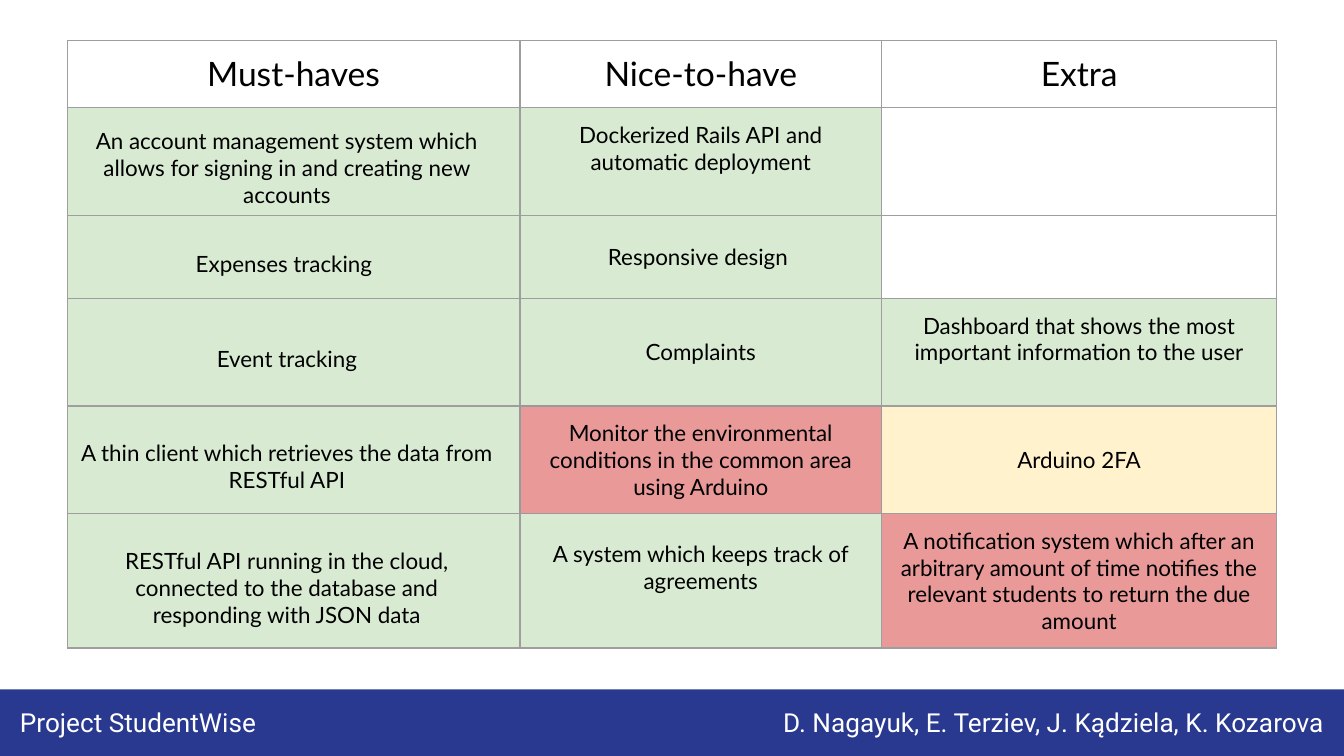
from lxml import etree
from pptx import Presentation
from pptx.dml.color import RGBColor
from pptx.enum import shapes, text
from pptx.oxml import ns
from pptx.util import Inches, Pt

COLORS = {"black": "000000", "white": "FFFFFF", "footer": "2A3990",
          "done": "D9EAD3", "dropped": "EA9999", "partial": "FFF2CC",
          "border": "9E9E9E", "border_dropped": "999999"}


def write(frame, words, font, size, color, align):
    paragraph = frame.paragraphs[0]
    paragraph.alignment = align
    run = paragraph.add_run()
    run.text = words
    for name, value in {"name": font, "size": Pt(size)}.items():
        setattr(run.font, name, value)
    run.font.color.rgb = RGBColor.from_string(COLORS[color])


def add_border(cell, side, color):
    tag = ns.qn("a:ln" + side)
    line = etree.SubElement(cell._tc.get_or_add_tcPr(), tag, w=str(Pt(0.75)))
    fill = etree.SubElement(line, ns.qn("a:solidFill"))
    etree.SubElement(fill, ns.qn("a:srgbClr"), val=COLORS[color])


# Slide in 16:9 format
prs = Presentation()
prs.slide_width, prs.slide_height = Inches(10), Inches(10 * 9 / 16)
slide = prs.slides.add_slide(prs.slide_layouts[6])

# Footer band with project and authors
band_top = Inches(5.13)
band = slide.shapes.add_shape(shapes.MSO_SHAPE.RECTANGLE, 0, band_top,
                              prs.slide_width, prs.slide_height - band_top)
band.shadow.inherit = False
band.fill.solid()
band.fill.fore_color.rgb = RGBColor.from_string(COLORS["footer"])
band.line.fill.background()

footer_texts = [
    (0.05, "Project StudentWise", text.PP_ALIGN.LEFT),
    (5, "D. Nagayuk, E. Terziev, J. Kądziela, K. Kozarova", text.PP_ALIGN.RIGHT),
]
footer_format = {"word_wrap": True, "vertical_anchor": text.MSO_ANCHOR.MIDDLE}
footer_format.update({f"margin_{side}": Inches(0.1)
                      for side in ("left", "top", "right", "bottom")})
for left, words, align in footer_texts:
    frame = slide.shapes.add_textbox(Inches(left), Inches(5.2),
                                     Inches(4.95), Inches(0.35)).text_frame
    for name, value in footer_format.items():
        setattr(frame, name, value)
    write(frame, words, "Roboto", 14, "white", align)

# Requirements: each cell is (words, status)
headings = ["Must-haves", "Nice-to-have", "Extra"]
requirements = [
    [("An account management system which allows for signing in and creating new accounts", "done"),
     ("Dockerized Rails API and automatic deployment", "done"),
     ("", None)],
    [("Expenses tracking ", "done"),
     ("Responsive design ", "done"),
     ("", None)],
    [("Event tracking", "done"),
     ("Complaints", "done"),
     ("Dashboard that shows the most important information to the user", "done")],
    [("A thin client which retrieves the data from RESTful API", "done"),
     ("Monitor the environmental conditions in the common area using Arduino", "dropped"),
     ("Arduino 2FA", "partial")],
    [("RESTful API running in the cloud, connected to the database and responding with JSON data", "done"),
     ("A system which keeps track of agreements", "done"),
     ("A notification system which after an arbitrary amount of time notifies the relevant students to return the due amount", "dropped")],
]
rows = [[(heading, None) for heading in headings]] + requirements
column_widths = [3.37, 2.69, 2.94]
row_heights = [0.5, 0.8, 0.62, 0.8, 0.8, 0.99]
raised_cells = {(1, 1), (3, 2), (5, 1)}  # text sits above the middle
dropped_edges = {(4, 1): "LRTB", (3, 1): "B", (5, 1): "T", (4, 0): "R", (4, 2): "L"}

table = slide.shapes.add_table(
    len(rows), len(headings), Inches(0.5), Inches(0.3),
    Inches(sum(column_widths)), Inches(sum(row_heights))).table
table.first_row = table.horz_banding = False
for column, width in zip(table.columns, column_widths):
    column.width = Inches(width)
for row, height in zip(table.rows, row_heights):
    row.height = Inches(height)

for r, row in enumerate(rows):
    for c, (words, status) in enumerate(row):
        cell = table.cell(r, c)
        must_have = r > 0 and c == 0
        bottom = 0 if must_have else 0.3 if (r, c) in raised_cells else 0.1
        cell_format = {
            "margin_left": Inches(0.1), "margin_top": Inches(0.1),
            "margin_right": Inches(0.2 if must_have else 0.1),
            "margin_bottom": Inches(bottom),
            "vertical_anchor": text.MSO_ANCHOR.MIDDLE if r else text.MSO_ANCHOR.TOP,
        }
        for name, value in cell_format.items():
            setattr(cell, name, value)
        for side in "LRTB":
            dropped = side in dropped_edges.get((r, c), "")
            add_border(cell, side, "border_dropped" if dropped else "border")
        if status:
            cell.fill.solid()
            cell.fill.fore_color.rgb = RGBColor.from_string(COLORS[status])
        else:
            cell.fill.background()
        if words:
            write(cell.text_frame, words, "Lato", 12 if r else 18, "black",
                  text.PP_ALIGN.CENTER)

prs.save("out.pptx")
